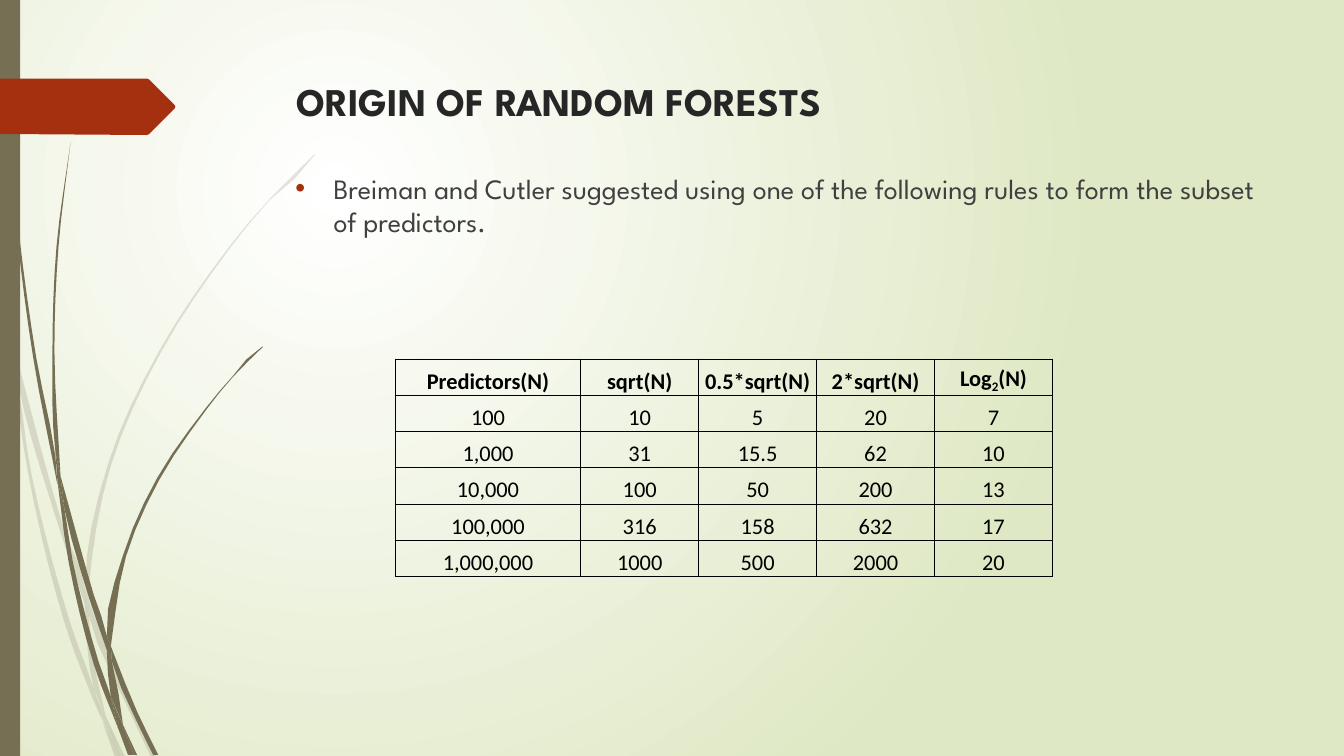
"""Build the slide on the origin of random forests."""
from dataclasses import dataclass
from math import ceil, cos, hypot, radians

from lxml.etree import SubElement
from pptx import Presentation
from pptx.dml.color import RGBColor
from pptx.enum.shapes import MSO_SHAPE
from pptx.enum.text import MSO_ANCHOR as Anchor, PP_ALIGN as Align
from pptx.oxml.ns import qn
from pptx.util import Inches, Pt

COLORS = {"white": "FFFFFF", "sage": "DFE8C4", "olive": "766F54", "rust": "A53010",
          "title": "262626", "body": "404040", "black": "000000"}
HEADING_FONT, TABLE_FONT = "League Spartan", "Calibri"
STEPS_PER_INCH = 3
CORNER_COSINE = cos(radians(50))
Point = tuple[float, float]


@dataclass
class Outline:
    points: list[Point]
    color: str = "olive"
    opacity: int = 100
    curved: bool = True


@dataclass
class Caption:
    text: str
    box: tuple[float, float, float, float]
    size: int
    color: str
    bold: bool = False
    anchor: Anchor = Anchor.TOP


PALE_BLADES = [
    [(0.11, 3.5), (0.09, 3.22), (0, 2.82), (0, 2.99), (0.1, 3.44)],
    [(0.58, 5.22), (0.84, 5.99), (0.85, 5.86), (0.62, 5.2), (0.14, 3.45), (0.17, 3.76)],
    [(0.92, 6.07), (0.88, 5.96), (0.88, 6.1), (1.23, 6.94), (1.5, 7.51), (1.55, 7.51),
     (1.27, 6.92)],
    [(1.19, 7.51), (1.24, 7.51), (1.05, 7.11)],
    [(0.93, 6.83), (0.7, 6.19), (0.31, 4.69), (0.17, 3.76), (0.11, 3.5), (0.28, 4.7),
     (0.65, 6.21), (0.92, 6.93), (1.01, 7.14), (0.99, 7.07)],
    [(0.84, 5.99), (0.87, 6.46), (0.93, 6.83), (1.05, 7.11), (0.91, 6.46), (0.88, 6.1)],
    [(0.88, 5.84), (1.1, 4.62), (1.6, 3.49), (2.29, 2.45), (2.68, 1.98), (3.12, 1.54),
     (3.12, 1.53), (2.68, 1.97), (2.28, 2.44), (1.58, 3.48), (1.07, 4.61), (0.85, 5.84),
     (0.88, 5.96)],
    [(1.01, 7.14), (1.14, 7.51), (1.19, 7.51)],
    [(0.88, 6.1), (0.88, 5.96), (0.85, 5.86), (0.84, 5.99)],
    [(0.96, 6.92), (0.93, 6.83), (0.99, 7.07), (1.19, 7.51), (1.05, 7.11)],
]
DARK_BLADES = [
    [(0.07, 1.1), (0.17, 2.33), (0.33, 3.55), (0.57, 4.81), (0.55, 4.53), (0.36, 3.55),
     (0.19, 2.32), (0.08, 1.09), (0.04, 0), (0.03, 0)],
    [(0.88, 5.92), (1.06, 6.45), (1.06, 6.31), (0.93, 5.9), (0.6, 4.72), (0.64, 5.05)],
    [(1.13, 6.49), (1.1, 6.41), (1.11, 6.56), (1.32, 7.08), (1.52, 7.49), (1.57, 7.49),
     (1.36, 7.06)],
    [(1.1, 6.91), (0.98, 6.57), (0.72, 5.56), (0.64, 5.05), (0.57, 4.77), (0.68, 5.57),
     (0.93, 6.59), (1.17, 7.22)],
    [(0.6, 4.72), (0.54, 3.49), (0.58, 2.45), (0.7, 1.41), (0.56, 2.45), (0.52, 3.49),
     (0.55, 4.49)],
    [(1.33, 7.49), (1.36, 7.49), (1.22, 7.19)],
    [(0.57, 4.77), (0.64, 5.05), (0.6, 4.72), (0.55, 4.49)],
    [(1.11, 6.33), (1.25, 5.52), (1.58, 4.76), (2.05, 4.06), (2.31, 3.74), (2.61, 3.44),
     (2.6, 3.44), (2.31, 3.73), (2.04, 4.05), (1.56, 4.74), (1.22, 5.51), (1.06, 6.31),
     (1.1, 6.41)],
    [(1.17, 7.22), (1.27, 7.49), (1.31, 7.49)],
    [(1.06, 6.45), (1.1, 6.91), (1.22, 7.19), (1.11, 6.56)],
    [(1.06, 6.45), (1.11, 6.56), (1.1, 6.41), (1.06, 6.31)],
    [(1.16, 7.06), (1.1, 6.91), (1.17, 7.22), (1.3, 7.49), (1.33, 7.49), (1.22, 7.19)],
]
BANNER = Outline([(0, 0.78), (1.46, 0.78), (1.48, 0.79), (1.73, 1.04), (1.74, 1.06),
                  (1.73, 1.08), (1.48, 1.33), (1.46, 1.34), (0, 1.33)], "rust", curved=False)
TITLE = Caption("ORIGIN OF RANDOM FORESTS", (2.84, 0.68, 9.75, 0.65), 28, "title", True,
                Anchor.MIDDLE)
BODY = Caption("Breiman and Cutler suggested using one of the following rules to form "
               "the subset of predictors.", (2.83, 1.65, 9.75, 4.81), 20, "body")
SUBSET_SIZES = [
    ("Predictors(N)", "sqrt(N)", "0.5*sqrt(N)", "2*sqrt(N)", "Log|2|(N)"),
    ("100", "10", "5", "20", "7"),
    ("1,000", "31", "15.5", "62", "10"),
    ("10,000", "100", "50", "200", "13"),
    ("100,000", "316", "158", "632", "17"),
    ("1,000,000", "1000", "500", "2000", "20"),
]
COLUMN_WIDTHS, ROW_HEIGHT = (1.84, 1.17, 1.17, 1.17, 1.17), 0.36


def rgb(name: str) -> RGBColor:
    return RGBColor.from_string(COLORS[name])


def direction(start: Point, end: Point) -> Point:
    length = hypot(end[0] - start[0], end[1] - start[1])
    return (end[0] - start[0]) / length, (end[1] - start[1]) / length


def tangent(before: Point, after: Point, along: Point) -> Point:
    if before[0] * after[0] + before[1] * after[1] < CORNER_COSINE:
        return along
    return direction((0, 0), (before[0] + after[0], before[1] + after[1]))


def smooth(points: list[Point]) -> list[Point]:
    count, result = len(points), []
    headings = [direction(points[i], points[(i + 1) % count]) for i in range(count)]
    for i, (start, heading) in enumerate(zip(points, headings)):
        end = points[(i + 1) % count]
        length = hypot(end[0] - start[0], end[1] - start[1])
        reach, steps = length / 3, ceil(length * STEPS_PER_INCH)
        leaving = tangent(headings[i - 1], heading, heading)
        arriving = tangent(heading, headings[(i + 1) % count], heading)
        for step in range(steps):
            t = step / steps
            u = 1 - t
            result.append(tuple(
                u ** 3 * a + 3 * u * u * t * (a + reach * d)
                + 3 * u * t * t * (b - reach * e) + t ** 3 * b
                for a, b, d, e in zip(start, end, leaving, arriving)))
    return result


def paint(shape, color: str, opacity: int = 100) -> None:
    shape.shadow.inherit = False
    shape.fill.solid()
    shape.fill.fore_color.rgb = rgb(color)
    shape.line.fill.background()
    if opacity < 100:
        color_element = shape.element.spPr.find(".//" + qn("a:srgbClr"))
        SubElement(color_element, qn("a:alpha"), val=str(opacity * 1000))


def draw_outline(slide, outline: Outline) -> None:
    points = smooth(outline.points) if outline.curved else outline.points
    corners = [(Inches(x), Inches(y)) for x, y in points]
    builder = slide.shapes.build_freeform(*corners[0])
    builder.add_line_segments(corners[1:], close=True)
    paint(builder.convert_to_shape(), outline.color, outline.opacity)


def style_run(run, font: str, size: int, color: str, bold: bool) -> None:
    run.font.name, run.font.size, run.font.bold = font, Pt(size), bold
    run.font.color.rgb = rgb(color)


def draw_caption(slide, caption: Caption):
    frame = slide.shapes.add_textbox(*map(Inches, caption.box)).text_frame
    frame.word_wrap, frame.vertical_anchor = True, caption.anchor
    frame.text = caption.text
    style_run(frame.paragraphs[0].runs[0], HEADING_FONT, caption.size, caption.color, caption.bold)
    return frame.paragraphs[0]


def add_bullet(paragraph) -> None:
    paragraph.space_before = Pt(10)
    properties = paragraph._p.get_or_add_pPr()
    properties.set("marL", str(Inches(0.38)))
    properties.set("indent", str(-Inches(0.38)))
    SubElement(SubElement(properties, qn("a:buClr")), qn("a:srgbClr"), val=COLORS["rust"])
    SubElement(properties, qn("a:buFont"), typeface="Arial")
    SubElement(properties, qn("a:buChar"), char="•")


def fill_cell(cell, text: str, bold: bool) -> None:
    cell.margin_left = cell.margin_right = cell.margin_top = Inches(0.01)
    cell.margin_bottom, cell.vertical_anchor = 0, Anchor.BOTTOM
    paragraph = cell.text_frame.paragraphs[0]
    paragraph.alignment = Align.CENTER
    for position, part in enumerate(text.split("|")):
        run = paragraph.add_run()
        run.text = part
        style_run(run, TABLE_FONT, 16, "black", bold)
        if position == 1:
            run._r.get_or_add_rPr().set("baseline", "-25000")
    properties = cell._tc.get_or_add_tcPr()
    for side in ("lnL", "lnR", "lnT", "lnB"):
        border = SubElement(properties, qn("a:" + side), w=str(Pt(0.5)))
        SubElement(SubElement(border, qn("a:solidFill")), qn("a:srgbClr"), val=COLORS["black"])
    cell.fill.background()


def draw_table(slide) -> None:
    table = slide.shapes.add_table(
        len(SUBSET_SIZES), len(COLUMN_WIDTHS), Inches(3.92), Inches(3.56),
        Inches(sum(COLUMN_WIDTHS)), Inches(ROW_HEIGHT * len(SUBSET_SIZES))).table
    table.horz_banding = False
    for column, width in zip(table.columns, COLUMN_WIDTHS):
        column.width = Inches(width)
    for index, (row, texts) in enumerate(zip(table.rows, SUBSET_SIZES)):
        row.height = Inches(ROW_HEIGHT)
        for cell, text in zip(row.cells, texts):
            fill_cell(cell, text, bold=index == 0)


def set_background(slide) -> None:
    fill = slide.background.fill
    fill.gradient()
    for stop, color, position in zip(fill.gradient_stops, ("white", "sage"), (0, 1)):
        stop.color.rgb, stop.position = rgb(color), position
    gradient = slide.element.find(".//" + qn("a:gradFill"))
    gradient.remove(gradient.find(qn("a:lin")))
    SubElement(SubElement(gradient, qn("a:path"), path="circle"), qn("a:fillToRect"),
               l="50000", t="50000", r="100000", b="100000")


presentation = Presentation()
presentation.slide_width, presentation.slide_height = Inches(13.33), Inches(7.5)
slide = presentation.slides.add_slide(presentation.slide_layouts[6])
set_background(slide)
for blades, opacity in ((PALE_BLADES, 20), (DARK_BLADES, 100)):
    for blade in blades:
        draw_outline(slide, Outline(blade, opacity=opacity))
paint(slide.shapes.add_shape(MSO_SHAPE.RECTANGLE, 0, 0, Inches(0.2), Inches(7.5)), "olive")
draw_outline(slide, BANNER)
draw_caption(slide, TITLE)
add_bullet(draw_caption(slide, BODY))
draw_table(slide)
presentation.save("out.pptx")
